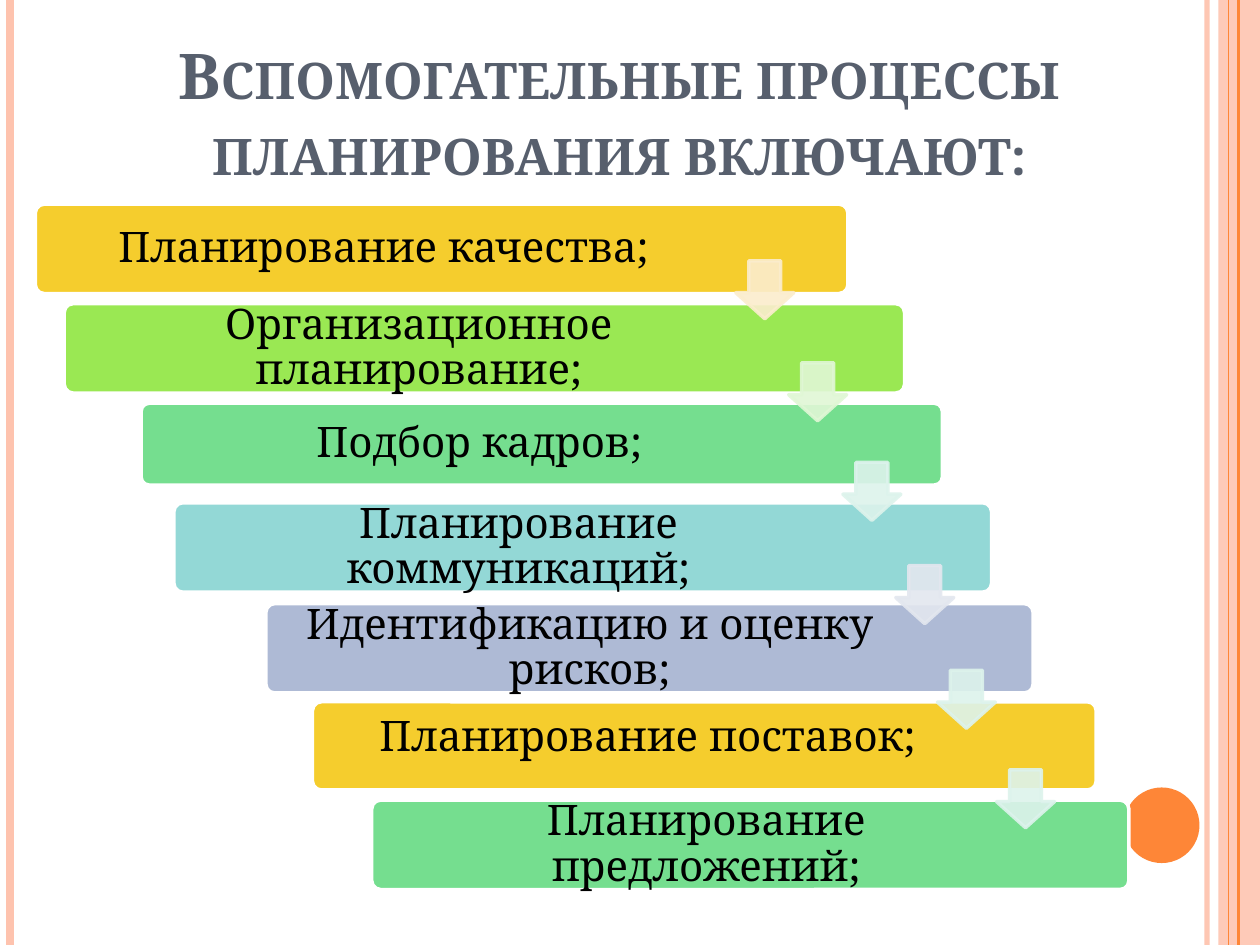
from lxml import etree
from pptx import Presentation
from pptx.dml.color import RGBColor
from pptx.enum import shapes, text
from pptx.oxml.ns import qn
from pptx.util import Inches, Pt

FONT = "Noto Serif"
BLACK = RGBColor(0, 0, 0)
WHITE = RGBColor(0xFF, 0xFF, 0xFF)
SLATE = RGBColor(0x57, 0x5F, 0x6D)
ORANGE = RGBColor(0xFE, 0x86, 0x37)
PEACH = RGBColor(0xFE, 0xC3, 0xAE)
YELLOW = RGBColor(0xF5, 0xCD, 0x2D)
LIME = RGBColor(0x9A, 0xE8, 0x53)
GREEN = RGBColor(0x75, 0xDE, 0x8F)
TEAL = RGBColor(0x93, 0xD8, 0xD6)
LAVENDER = RGBColor(0xAE, 0xBA, 0xD5)
PALE_YELLOW = RGBColor(0xFB, 0xED, 0xCD)
PALE_LIME = RGBColor(0xE0, 0xF7, 0xD5)
PALE_TEAL = RGBColor(0xDD, 0xF3, 0xEC)
PALE_LAVENDER = RGBColor(0xE3, 0xE7, 0xEF)

deck = Presentation()
deck.slide_width, deck.slide_height = Inches(10), Inches(7.5)
page = deck.slides.add_slide(deck.slide_layouts[5])


def add_block(kind, left, top, width, height, color, outline=None):
    block = page.shapes.add_shape(
        kind, Inches(left), Inches(top), Inches(width), Inches(height))
    block.shadow.inherit = False
    block.fill.solid()
    block.fill.fore_color.rgb = color
    if outline is None:
        block.line.fill.background()
    else:
        block.line.color.rgb = outline
        block.line.width = Pt(2)
    return block


def set_opacity(shape, percent):
    for color in shape._element.spPr.iter(qn("a:srgbClr")):
        etree.SubElement(color, qn("a:alpha"), val=str(percent * 1000))


# Side rails and corner dot
band = add_block(shapes.MSO_SHAPE.RECTANGLE, 9.67, 0, 0.33, 7.5, PEACH)
set_opacity(band, 87)
for x, color, weight, opacity in [
    (9.58, PEACH, 3, 93),
    (0.08, PEACH, 4.5, 100),
    (9.83, ORANGE, 1.5, 100),
    (9.75, ORANGE, 0.75, 100),
]:
    rail = page.shapes.add_connector(
        shapes.MSO_CONNECTOR.STRAIGHT, Inches(x), 0, Inches(x), deck.slide_height)
    rail.line.color.rgb = color
    rail.line.width = Pt(weight)
    set_opacity(rail, opacity)
    etree.SubElement(rail._element.spPr, qn("a:effectLst"))
add_block(shapes.MSO_SHAPE.OVAL, 8.92, 6.25, 0.6, 0.6, ORANGE)

# Title
title = page.shapes.title
title.left, title.top = Inches(0.83), Inches(0.29)
title.width, title.height = Inches(8.17), Inches(1.25)
frame = title.text_frame
frame.word_wrap = True
frame.auto_size = text.MSO_AUTO_SIZE.NONE
frame.vertical_anchor = text.MSO_ANCHOR.BOTTOM
para = frame.paragraphs[0]
para.alignment = text.PP_ALIGN.CENTER
span = para.add_run()
span.text = "Вспомогательные процессы планирования включают:"
span.font.name, span.font.size, span.font.bold = FONT, Pt(36), True
span.font.color.rgb = SLATE
span._r.get_or_add_rPr().set("cap", "small")

# Staircase of steps: box, then left, right and bottom text insets
steps = [
    ("Планирование качества;", YELLOW, (0.28, 1.62, 6.45, 0.71), (0.1, 1.02, 0.1)),
    ("Организационное планирование;", LIME, (0.51, 2.41, 6.67, 0.71), (0.1, 1.14, 0.1)),
    ("Подбор кадров;", GREEN, (1.12, 3.2, 6.36, 0.65), (0.1, 1.09, 0.1)),
    ("Планирование коммуникаций;", TEAL, (1.38, 3.99, 6.49, 0.71), (0.1, 1.12, 0.1)),
    ("Идентификацию и оценку рисков;", LAVENDER, (2.11, 4.79, 6.09, 0.71), (0.1, 1.05, 0.1)),
    ("Планирование поставок;", YELLOW, (2.48, 5.57, 6.22, 0.7), (0.23, 1.13, 0.22)),
    ("Планирование предложений;", GREEN, (2.95, 6.35, 6.01, 0.71), (0.23, 0.93, 0.1)),
]
for words, color, place, (inset_left, inset_right, inset_bottom) in steps:
    step = add_block(shapes.MSO_SHAPE.ROUNDED_RECTANGLE, *place, color, WHITE)
    step.adjustments[0] = 0.1
    frame = step.text_frame
    frame.word_wrap = True
    frame.vertical_anchor = text.MSO_ANCHOR.MIDDLE
    frame.margin_left, frame.margin_right = Inches(inset_left), Inches(inset_right)
    frame.margin_top, frame.margin_bottom = Inches(0.1), Inches(inset_bottom)
    para = frame.paragraphs[0]
    para.alignment = text.PP_ALIGN.CENTER
    para.line_spacing = 0.9
    span = para.add_run()
    span.text = words
    span.font.name, span.font.size = FONT, Pt(24)
    span.font.color.rgb = BLACK

# Arrows between steps
for left, top, color in [
    (5.84, 2.07, PALE_YELLOW),
    (6.26, 2.88, PALE_LIME),
    (6.69, 3.67, PALE_TEAL),
    (7.11, 4.49, PALE_LAVENDER),
    (7.44, 5.32, PALE_TEAL),
    (7.91, 6.11, PALE_TEAL),
]:
    arrow = add_block(shapes.MSO_SHAPE.DOWN_ARROW, left, top, 0.46, 0.46, color, color)
    arrow.adjustments[0], arrow.adjustments[1] = 0.55, 0.45
    set_opacity(arrow, 90)

deck.save("out.pptx")
